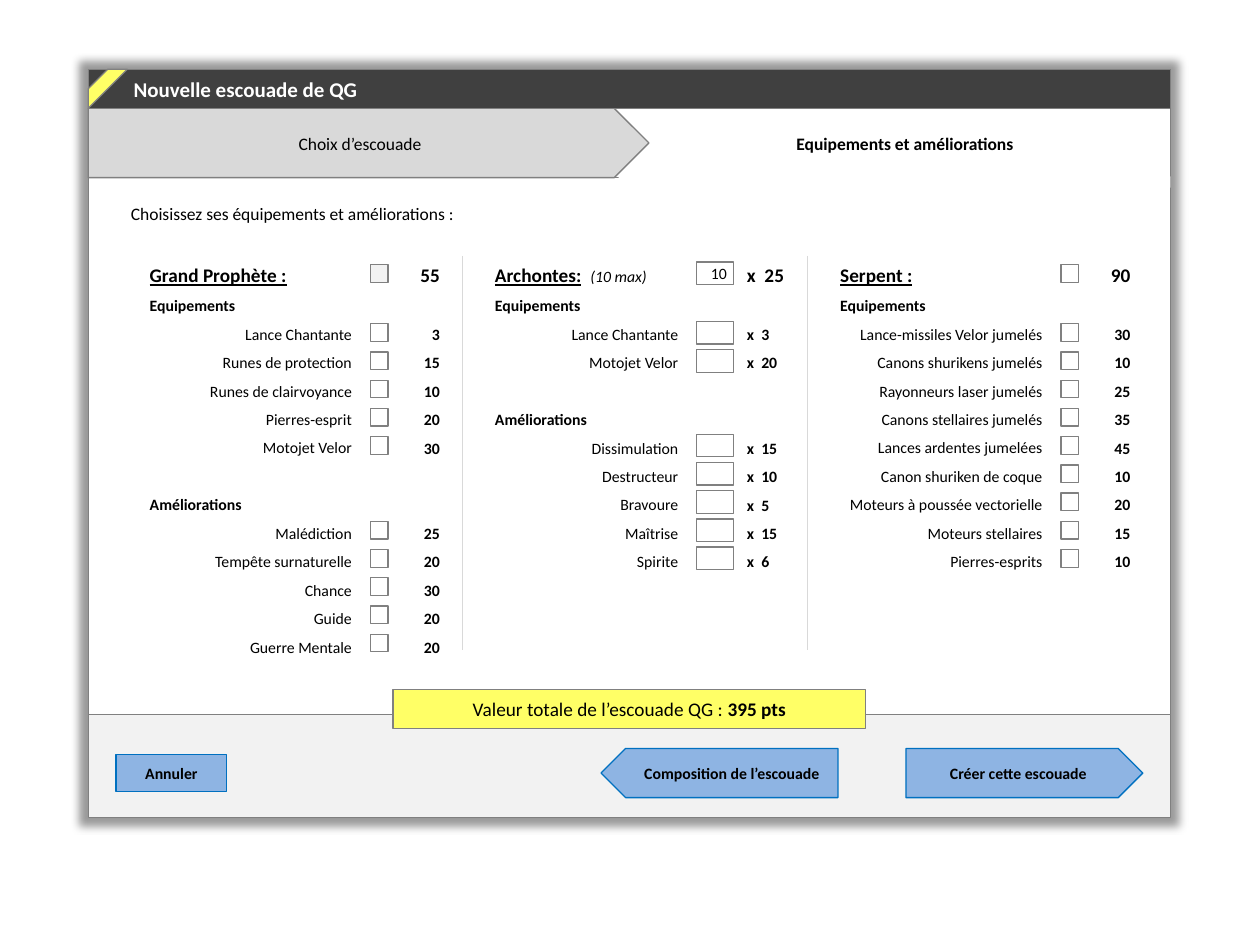
from dataclasses import dataclass
from typing import NamedTuple, Optional

from lxml import etree
from pptx import Presentation
from pptx.dml.color import RGBColor
from pptx.enum import shapes, text
from pptx.oxml import ns
from pptx.util import Inches, Pt

BLACK = RGBColor(0x00, 0x00, 0x00)
WHITE = RGBColor(0xFF, 0xFF, 0xFF)
GREY = RGBColor(0x80, 0x80, 0x80)
DARK = RGBColor(0x40, 0x40, 0x40)
PALE = RGBColor(0xF2, 0xF2, 0xF2)
SILVER = RGBColor(0xD9, 0xD9, 0xD9)
YELLOW = RGBColor(0xFF, 0xFF, 0x66)
BLUE = RGBColor(0x8E, 0xB4, 0xE3)
BLUE_LINE = RGBColor(0x00, 0x70, 0xC0)

MSO = shapes.MSO_SHAPE
LEFT, CENTER, RIGHT = text.PP_ALIGN.LEFT, text.PP_ALIGN.CENTER, text.PP_ALIGN.RIGHT

# Option grid
COL_LEFT, COL_PITCH = 1.09, 2.74
LIST_TOP = 1.95
FIRST_ROW, ROW_STEP, HEAD_OFFSET = 2.64, 0.224, 0.47  # centres of the boxes
PRICE_OFFSET = 2.0
BLANK_ROW = 16.3  # points, height of one list line


class Run(NamedTuple):
    text: str
    size: float = 9
    bold: bool = False
    italic: bool = False
    underline: bool = False
    color: RGBColor = BLACK


class Line(NamedTuple):
    runs: list[Run]
    align: text.PP_ALIGN = LEFT
    skipped: int = 0  # list rows left free above
    spacing: Optional[float] = None


class Box(NamedTuple):
    """Size of the input boxes of a column and their distance to the prices."""
    width: float
    height: float
    gap: float


CHECK = Box(0.14, 0.14, 0.15)
COUNT = Box(0.29, 0.18, 0.3)


@dataclass
class Column:
    title: str
    price: str
    box: Box
    head_fill: RGBColor
    groups: dict[str, list[tuple[str, str]]]
    note: str = ""


COLUMNS = [
    Column("Grand Prophète :", "55", CHECK, PALE, {
        "Equipements": [("Lance Chantante", "3"), ("Runes de protection", "15"),
                        ("Runes de clairvoyance", "10"), ("Pierres-esprit", "20"),
                        ("Motojet Velor", "30")],
        "Améliorations": [("Malédiction", "25"), ("Tempête surnaturelle", "20"),
                          ("Chance", "30"), ("Guide", "20"), ("Guerre Mentale", "20")]}),
    Column("Archontes:", "x  25", COUNT, WHITE, {
        "Equipements": [("Lance Chantante", "x  3"), ("Motojet Velor", "x  20")],
        "Améliorations": [("Dissimulation", "x  15"), ("Destructeur", "x  10"),
                          ("Bravoure", "x  5"), ("Maîtrise", "x  15"),
                          ("Spirite", "x  6")]}, "(10 max)"),
    Column("Serpent :", "90", CHECK, WHITE, {
        "Equipements": [("Lance-missiles Velor jumelés", "30"),
                        ("Canons shurikens jumelés", "10"),
                        ("Rayonneurs laser jumelés", "25"),
                        ("Canons stellaires jumelés", "35"),
                        ("Lances ardentes jumelées", "45"),
                        ("Canon shuriken de coque", "10"),
                        ("Moteurs à poussée vectorielle", "20"),
                        ("Moteurs stellaires", "15"), ("Pierres-esprits", "10")]}),
]


def write(tf, lines: list[Line]) -> None:
    tf.word_wrap = True
    for i, line in enumerate(lines):
        p = tf.paragraphs[0] if i == 0 else tf.add_paragraph()
        p.alignment = line.align
        if line.spacing:
            p.line_spacing = line.spacing
        if line.skipped:
            p.space_before = Pt(line.skipped * BLANK_ROW)
        for run in line.runs:
            r = p.add_run()
            r.text = run.text
            f = r.font
            f.name, f.size, f.bold, f.italic = "Calibri", Pt(run.size), run.bold, run.italic
            f.underline = run.underline
            f.color.rgb = run.color


def add_text(s, x: float, y: float, w: float, h: float, lines: list[Line]) -> None:
    tf = s.shapes.add_textbox(Inches(x), Inches(y), Inches(w), Inches(h)).text_frame
    write(tf, lines)
    tf.auto_size = text.MSO_AUTO_SIZE.SHAPE_TO_FIT_TEXT


def add_panel(s, x: float, y: float, w: float, h: float, fill: RGBColor,
              line: Optional[RGBColor] = GREY, kind=MSO.RECTANGLE,
              label: Optional[Line] = None, indent: float = 0.1):
    sp = s.shapes.add_shape(kind, Inches(x), Inches(y), Inches(w), Inches(h))
    sp.shadow.inherit = False
    sp.fill.solid()
    sp.fill.fore_color.rgb = fill
    if line is None:
        sp.line.fill.background()
    else:
        sp.line.color.rgb = line
        sp.line.width = Pt(0.75)
    if label:
        tf = sp.text_frame
        tf.vertical_anchor = text.MSO_ANCHOR.MIDDLE
        tf.margin_left = Inches(indent)
        write(tf, [label])
    return sp


def add_glow(sp) -> None:
    effects = sp._element.spPr.find(ns.qn("a:effectLst"))
    shadow = etree.SubElement(effects, ns.qn("a:outerShdw"), blurRad=str(Pt(5)), dist="0",
                              sx="101500", sy="102000", algn="ctr")
    color = etree.SubElement(shadow, ns.qn("a:srgbClr"), val="000000")
    etree.SubElement(color, ns.qn("a:alpha"), val="40000")


def add_divider(s, x: float) -> None:
    c = s.shapes.add_connector(shapes.MSO_CONNECTOR.STRAIGHT, Inches(x), Inches(2.03),
                               Inches(x), Inches(5.16))
    c.line.color.rgb = SILVER
    c.line.width = Pt(0.75)
    etree.SubElement(c._element.spPr, ns.qn("a:effectLst"))


def add_column(s, left: float, col: Column) -> None:
    box = col.box
    price_left = left + PRICE_OFFSET
    box_left = price_left - box.gap
    price_align = RIGHT if box is CHECK else LEFT

    def add_box(center: float, fill: RGBColor = WHITE) -> None:
        add_panel(s, box_left, center - box.height / 2, box.width, box.height, fill)

    heading = [Run(col.title, 11, True, underline=True)]
    if col.note:
        heading += [Run("  ", 11, True), Run(col.note, italic=True)]
    names = [Line(heading, spacing=1.5)]
    prices = [Line([Run(col.price, 11, True)], price_align, spacing=1.5)]
    add_box(FIRST_ROW - HEAD_OFFSET, col.head_fill)

    row = 0
    for g, (group, items) in enumerate(col.groups.items()):
        blank = 1 if g else 0
        row += 2 * blank  # free row and group label
        names.append(Line([Run(group, bold=True)], LEFT, blank, 1.5))
        for i, (name, price) in enumerate(items):
            names.append(Line([Run(name)], RIGHT, spacing=1.5))
            skipped = 0 if i else 1 + blank
            prices.append(Line([Run(price, bold=True)], price_align, skipped, 1.5))
            add_box(FIRST_ROW + row * ROW_STEP)
            row += 1

    height = 0.62 + (row + 1) * 0.226
    add_text(s, left, LIST_TOP, box_left - left - 0.05, height, names)
    add_text(s, price_left, LIST_TOP, 0.5, height, prices)


def main() -> None:
    prs = Presentation()
    prs.slide_width, prs.slide_height = Inches(10), Inches(7.5)
    s = prs.slides.add_slide(prs.slide_layouts[6])

    # Window and footer
    add_glow(add_panel(s, 0.7, 0.55, 8.59, 5.94, WHITE))
    add_panel(s, 0.7, 5.67, 8.59, 0.82, PALE)

    # Buttons and total
    def button(caption: str) -> Line:
        return Line([Run(caption, bold=True)], CENTER)

    add_panel(s, 7.19, 5.94, 1.88, 0.39, BLUE, BLUE_LINE, MSO.PENTAGON,
              button("Créer cette escouade"))
    add_panel(s, 0.92, 5.99, 0.88, 0.29, BLUE, BLUE_LINE, label=button("Annuler"))
    back = add_panel(s, 4.77, 5.94, 1.88, 0.39, BLUE, BLUE_LINE, MSO.LEFT_ARROW,
                     button("Composition de l’escouade"))
    back.adjustments[0], back.adjustments[1] = 1, 0.5
    add_panel(s, 3.12, 5.47, 3.75, 0.31, YELLOW, label=Line(
        [Run("Valeur totale de l’escouade QG : ", 11), Run("395 pts", 11, True)], CENTER))

    # Option columns
    for i, col in enumerate(COLUMNS):
        left = COL_LEFT + i * COL_PITCH
        add_column(s, left, col)
        if i:
            add_divider(s, left - 0.16)
    add_text(s, 5.51, 2.04, 0.39, 0.25, [Line([Run("10")], CENTER)])
    add_text(s, 0.94, 1.56, 7.11, 0.27,
             [Line([Run("Choisissez ses équipements et améliorations :", 10)])])

    # Step tabs
    add_panel(s, 4.84, 0.86, 4.45, 0.55, WHITE, indent=0.33,
              label=Line([Run("Equipements et améliorations", 10, True)], CENTER))
    add_panel(s, 0.7, 0.86, 4.45, 0.55, SILVER, kind=MSO.PENTAGON,
              label=Line([Run("Choix d’escouade", 10)], CENTER))
    add_panel(s, 4.91, 1.4, 4.38, 0.09, WHITE, None)

    # Title bar
    add_panel(s, 0.7, 0.55, 8.59, 0.31, DARK, indent=0.36,
              label=Line([Run("Nouvelle escouade de QG", 12, True, color=WHITE)]))
    add_panel(s, 0.7, 0.55, 0.31, 0.31, YELLOW, kind=MSO.DIAGONAL_STRIPE)

    prs.save("out.pptx")


if __name__ == "__main__":
    main()
